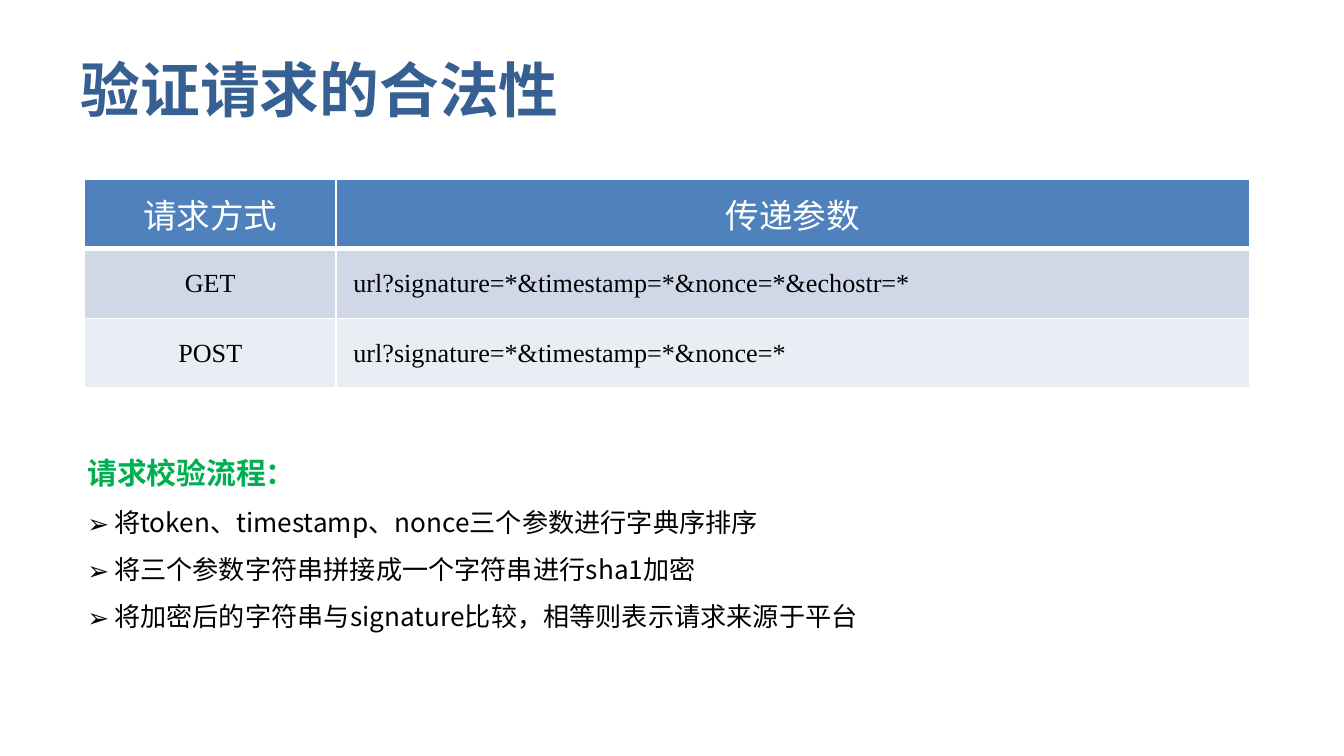
from dataclasses import dataclass

from lxml import etree
from pptx import Presentation
from pptx.dml.color import RGBColor
from pptx.enum.text import MSO_ANCHOR, MSO_AUTO_SIZE, PP_ALIGN
from pptx.oxml.ns import qn
from pptx.util import Inches, Pt

LEFT, CENTER = PP_ALIGN.LEFT, PP_ALIGN.CENTER
MIDDLE, TOP = MSO_ANCHOR.MIDDLE, MSO_ANCHOR.TOP
FIT_SHAPE, NO_FIT = MSO_AUTO_SIZE.SHAPE_TO_FIT_TEXT, MSO_AUTO_SIZE.NONE


@dataclass(frozen=True)
class Theme:
    sans: str = "Noto Sans CJK SC"
    serif: str = "Times New Roman"
    title: str = "376092"
    heading: str = "00B050"
    text: str = "000000"
    white: str = "FFFFFF"
    header_fill: str = "4F81BD"
    row_fills: tuple = ("D0D8E8", "E9EDF4")
    title_size: int = 32
    header_size: int = 18
    heading_size: int = 16
    text_size: int = 14


THEME = Theme()
HEADERS = ("请求方式", "传递参数")
REQUESTS = (
    ("GET", "url?signature=*&timestamp=*&nonce=*&echostr=*"),
    ("POST", "url?signature=*&timestamp=*&nonce=*"),
)
STEPS = (
    "将token、timestamp、nonce三个参数进行字典序排序",
    "将三个参数字符串拼接成一个字符串进行sha1加密",
    "将加密后的字符串与signature比较，相等则表示请求来源于平台",
)


def write_text(para, text, *, size, color, font=THEME.sans, bold=False,
               align=LEFT, spacing=1.0):
    para.alignment = align
    para.line_spacing = spacing
    para.space_before = Pt(0)
    span = para.add_run()
    span.text = text
    span.font.size = Pt(size)
    span.font.bold = bold
    span.font.name = font
    span.font.color.rgb = RGBColor.from_string(color)
    properties = span.font._element
    etree.SubElement(properties, qn("a:ea"), typeface=font)


def set_bullet(para, symbol=None, indent=0):
    properties = para._p.get_or_add_pPr()
    properties.set("marL", str(Inches(indent)))
    properties.set("indent", str(-Inches(indent)))
    if symbol:
        etree.SubElement(properties, qn("a:buFont"), typeface=THEME.sans)
        etree.SubElement(properties, qn("a:buChar"), char=symbol)
    else:
        etree.SubElement(properties, qn("a:buNone"))


def set_borders(cell, color, width, bottom):
    properties = cell._tc.get_or_add_tcPr()
    widths = {"lnL": width, "lnR": width, "lnT": width, "lnB": bottom}
    for index, (side, points) in enumerate(widths.items()):
        line = etree.Element(qn(f"a:{side}"), w=str(Pt(points)))
        fill = etree.SubElement(line, qn("a:solidFill"))
        etree.SubElement(fill, qn("a:srgbClr"), val=color)
        properties.insert(index, line)


def place(shape, left, top, width, height):
    shape.left, shape.top = Inches(left), Inches(top)
    shape.width, shape.height = Inches(width), Inches(height)


def add_title(page, box):
    title = page.shapes.title
    place(title, *box)
    frame = title.text_frame
    frame.vertical_anchor = MIDDLE
    frame.auto_size = NO_FIT
    write_text(frame.paragraphs[0], "验证请求的合法性", size=THEME.title_size,
               color=THEME.title, bold=True)


def fill_cell(cell, text, fill, bottom=1, **text_format):
    cell.margin_left = cell.margin_right = Inches(0.13)
    cell.margin_top = cell.margin_bottom = Inches(0.06)
    cell.vertical_anchor = MIDDLE
    cell.fill.solid()
    cell.fill.fore_color.rgb = RGBColor.from_string(fill)
    set_borders(cell, THEME.white, 1, bottom)
    write_text(cell.text_frame.paragraphs[0], text, **text_format)


def add_request_table(page, box, method_width):
    left, top, width, height = box
    table = page.shapes.add_table(
        len(REQUESTS) + 1, len(HEADERS),
        Inches(left), Inches(top), Inches(width), Inches(height)).table
    table.columns[0].width = Inches(method_width)
    table.columns[1].width = Inches(width - method_width)
    for column, text in enumerate(HEADERS):
        fill_cell(table.cell(0, column), text, THEME.header_fill, bottom=3,
                  size=THEME.header_size, color=THEME.white, align=CENTER)
    for row, (request, fill) in enumerate(zip(REQUESTS, THEME.row_fills), 1):
        for column, (text, align) in enumerate(zip(request, (CENTER, LEFT))):
            fill_cell(table.cell(row, column), text, fill, font=THEME.serif,
                      size=THEME.text_size, color=THEME.text, align=align)


def add_steps(page, box):
    body = page.placeholders[1]
    place(body, *box)
    frame = body.text_frame
    frame.vertical_anchor = TOP
    frame.word_wrap = True
    frame.auto_size = FIT_SHAPE
    heading = frame.paragraphs[0]
    set_bullet(heading)
    write_text(heading, "请求校验流程：", size=THEME.heading_size,
               color=THEME.heading, bold=True, spacing=1.5)
    for step in STEPS:
        para = frame.add_paragraph()
        set_bullet(para, "➢", 0.2)
        write_text(para, step, size=THEME.text_size, color=THEME.text,
                   spacing=1.5)


def main():
    deck = Presentation()
    deck.slide_width = Inches(10)
    deck.slide_height = deck.slide_width * 9 // 16
    page = deck.slides.add_slide(deck.slide_layouts[1])
    add_title(page, (0.5, 0.3, 9, 0.72))
    add_steps(page, (0.55, 3.2, 8.75, 1.57))
    add_request_table(page, (0.63, 1.33, 8.67, 1.56), 1.87)
    deck.save("out.pptx")


if __name__ == "__main__":
    main()
